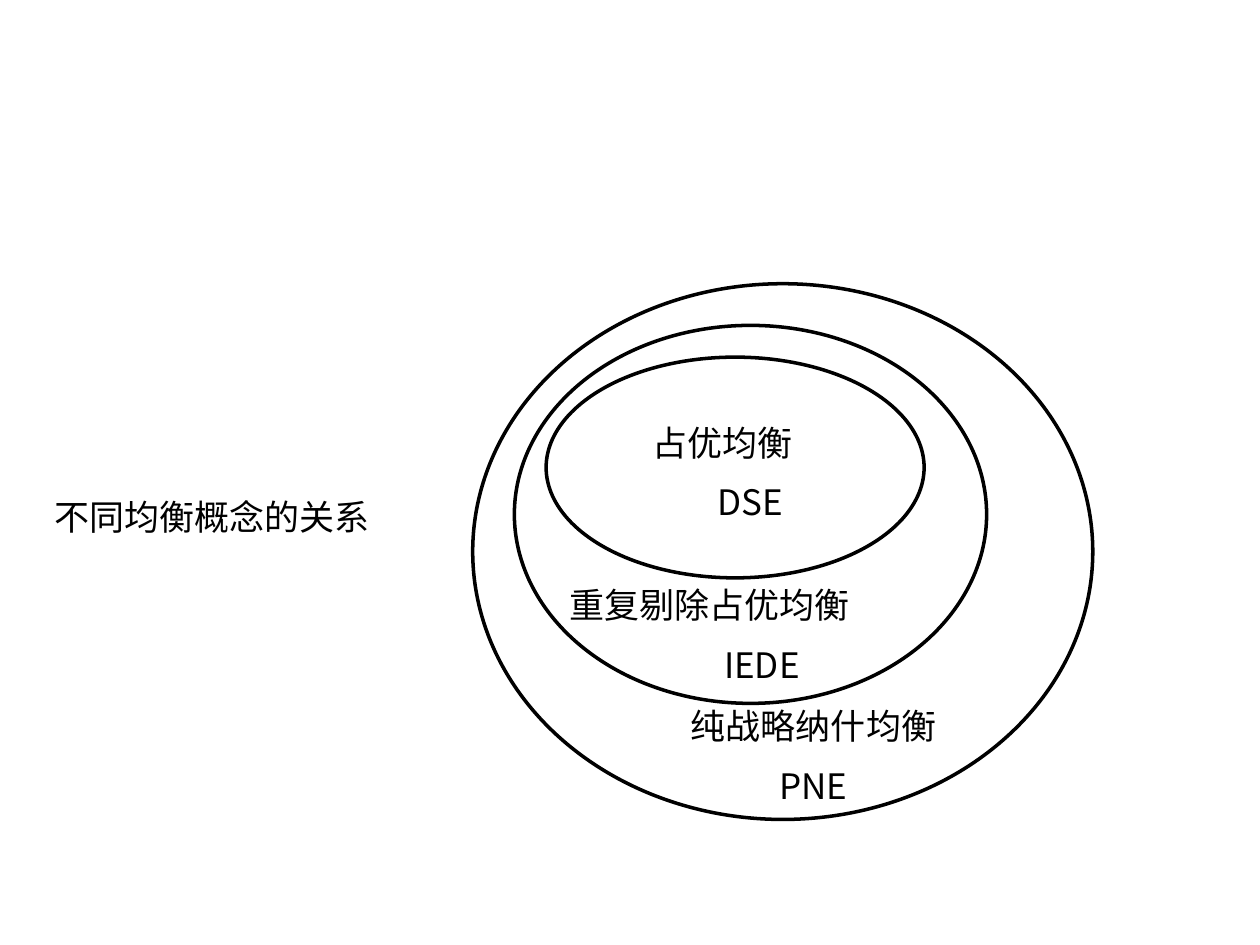
from lxml import etree
from pptx import Presentation
from pptx.dml.color import RGBColor
from pptx.enum.shapes import MSO_SHAPE
from pptx.enum.text import MSO_ANCHOR, MSO_AUTO_SIZE, PP_ALIGN
from pptx.oxml.ns import qn
from pptx.util import Cm, Pt

OVAL = MSO_SHAPE.OVAL
TOP = MSO_ANCHOR.TOP
FIT = MSO_AUTO_SIZE.SHAPE_TO_FIT_TEXT
LEFT, MID = PP_ALIGN.LEFT, PP_ALIGN.CENTER
BLACK = RGBColor(0, 0, 0)
FONT = "Noto Sans CJK SC"

RINGS = [(0, 12.5, 10.8), (0.84, 9.52, 7.62), (1.48, 7.62, 4.45)]
LABELS = [
    (3.38, 2.74, 4.45, LEFT, "占优均衡", "DSE"),
    (1.7, 6.02, 8.26, LEFT, "重复剔除占优均衡", "IEDE"),
    (2.74, 8.46, 8.26, MID, "纯战略纳什均衡", "PNE"),
]


def write(frame, lines):
    frame.word_wrap = True
    frame.auto_size = FIT
    frame.vertical_anchor = TOP
    for row, (text, align) in enumerate(lines):
        para = frame.add_paragraph() if row else frame.paragraphs[0]
        para.alignment = align
        para.line_spacing = 0.9
        para.space_before = Pt(12.5 if row else 0)
        run = para.add_run()
        run.text = text
        run.font.size = Pt(20)
        run.font.color.rgb = BLACK
        run.font.name = FONT
        east = etree.SubElement(run.font._element, qn("a:ea"))
        east.set("typeface", FONT)


def add_title(slide, left, top, width, height):
    title = slide.shapes.title
    title.left, title.top = Cm(left), Cm(top)
    title.width, title.height = Cm(width), Cm(height)
    write(title.text_frame, [("不同均衡概念的关系", LEFT)])


def add_sets(slide, left, top):
    for inset, width, height in RINGS:
        ring = slide.shapes.add_shape(
            OVAL, Cm(left + inset), Cm(top + inset), Cm(width), Cm(height))
        ring.shadow.inherit = False
        ring.fill.background()
        ring.line.color.rgb = BLACK
        ring.line.width = Pt(2)
    for x, y, width, align, name, code in LABELS:
        box = slide.shapes.add_textbox(
            Cm(left + x), Cm(top + y), Cm(width), Cm(2.24))
        write(box.text_frame, [(name, align), (code, MID)])


def main():
    deck = Presentation()
    deck.slide_width, deck.slide_height = Cm(25.4), Cm(19.05)
    slide = deck.slides.add_slide(deck.slide_layouts[5])
    add_title(slide, 0.84, 9.95, 7.06, 1.02)
    add_sets(slide, 9.53, 5.72)
    deck.save("out.pptx")


if __name__ == "__main__":
    main()
